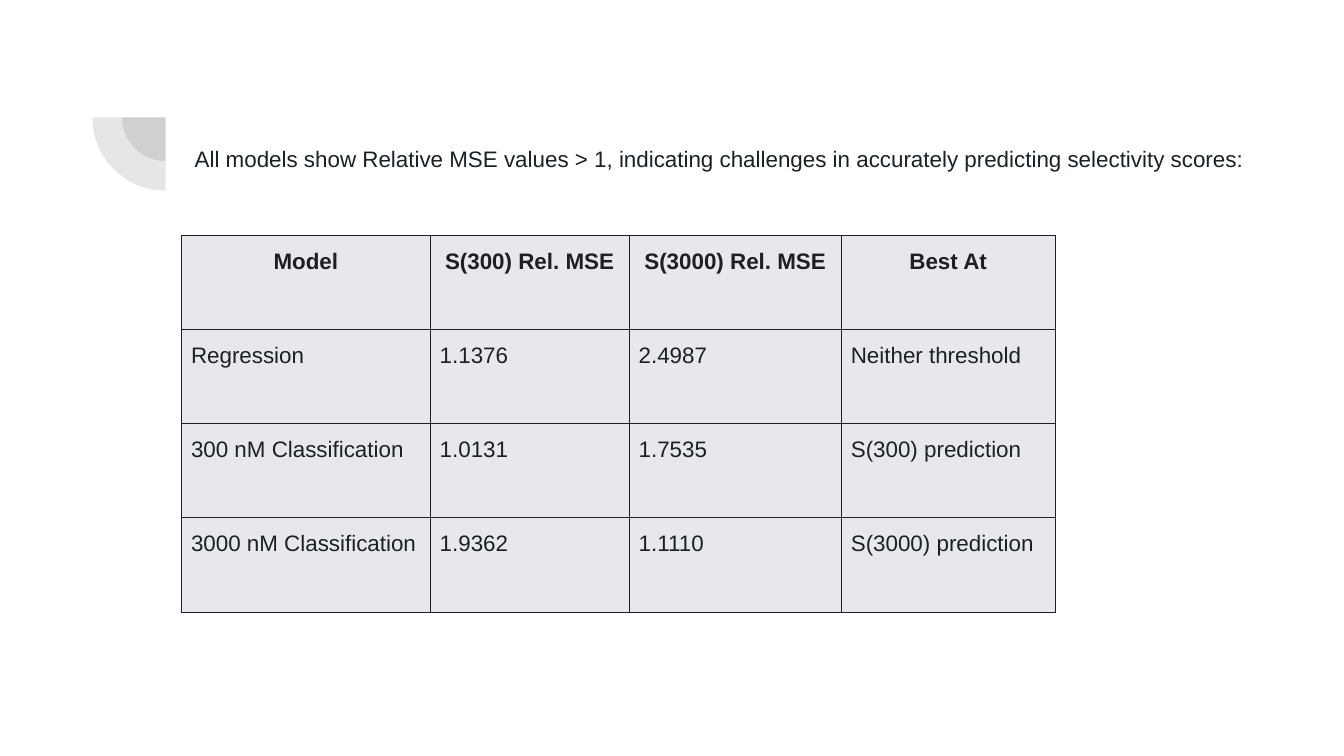
import pptx
import pptx.dml.color
import pptx.enum.shapes
import pptx.enum.text
import pptx.oxml.ns
import pptx.util
from lxml import etree

Cm = pptx.util.Cm
Pt = pptx.util.Pt
ALIGN = pptx.enum.text.PP_ALIGN
INK = "1C2024"


def paint(color, code):
    color.rgb = pptx.dml.color.RGBColor.from_string(code)


def write(frame, text, inset, align=ALIGN.LEFT, bold=False):
    frame.word_wrap = True
    para = frame.paragraphs[0]
    para.alignment = align
    para.line_spacing = 1.15
    run = para.add_run()
    run.text = text
    run.font.name = "Arial"
    run.font.size = Pt(12)
    run.font.bold = bold
    paint(run.font.color, INK)
    # Boxes and cells share the same margin names
    for side in ("left", "right", "top", "bottom"):
        setattr(inset, "margin_" + side, Cm(0.18 if inset is not frame else 0.25))


deck = pptx.Presentation()
deck.slide_width = Cm(25.4)
deck.slide_height = Cm(14.29)
slide = deck.slides.add_slide(deck.slide_layouts[6])
qn = pptx.oxml.ns.qn

# Corner mark: two quarter discs around one centre
for size in (1.65, 2.77):
    pie = slide.shapes.add_shape(
        pptx.enum.shapes.MSO_SHAPE.PIE,
        Cm(3.13 - size / 2), Cm(2.22 - size / 2), Cm(size), Cm(size))
    pie.adjustments[0] = 108
    pie.adjustments[1] = 162
    pie.rotation = 270
    pie.shadow.inherit = False
    pie.line.fill.background()
    pie.fill.solid()
    paint(pie.fill.fore_color, "424242")
    tone = pie.fill._xPr.find(qn("a:solidFill"))[0]
    etree.SubElement(tone, qn("a:alpha"), val="13000")

# Results table
rows = [
    ("Model", "S(300) Rel. MSE", "S(3000) Rel. MSE", "Best At"),
    ("Regression", "1.1376", "2.4987", "Neither threshold"),
    ("300 nM Classification", "1.0131", "1.7535", "S(300) prediction"),
    ("3000 nM Classification", "1.9362", "1.1110", "S(3000) prediction"),
]
widths = (4.7, 3.76, 4.01, 4.04)
high = 1.78
table = slide.shapes.add_table(
    len(rows), len(widths), Cm(3.43), Cm(4.45),
    Cm(sum(widths)), Cm(high * len(rows))).table
table.horz_banding = False
table.first_row = False
for col, width in zip(table.columns, widths):
    col.width = Cm(width)

for r, row in enumerate(rows):
    table.rows[r].height = Cm(high)
    for c, text in enumerate(row):
        cell = table.cell(r, c)
        head = r == 0
        write(cell.text_frame, text, cell,
              ALIGN.CENTER if head else ALIGN.LEFT, head)
        # Thin border on all four sides
        props = cell._tc.get_or_add_tcPr()
        for tag in ("a:lnL", "a:lnR", "a:lnT", "a:lnB"):
            edge = etree.SubElement(props, qn(tag), w=str(Pt(0.6)))
            fill = etree.SubElement(edge, qn("a:solidFill"))
            etree.SubElement(fill, qn("a:srgbClr"), val=INK)
        cell.fill.solid()
        paint(cell.fill.fore_color, "E8E8EC")

# Lead sentence
lead = slide.shapes.add_textbox(Cm(3.43), Cm(1.68), Cm(21.69), Cm(2.57)).text_frame
lead.vertical_anchor = pptx.enum.text.MSO_ANCHOR.MIDDLE
write(lead, "All models show Relative MSE values > 1, indicating challenges "
      "in accurately predicting selectivity scores:", lead)

deck.save("out.pptx")
